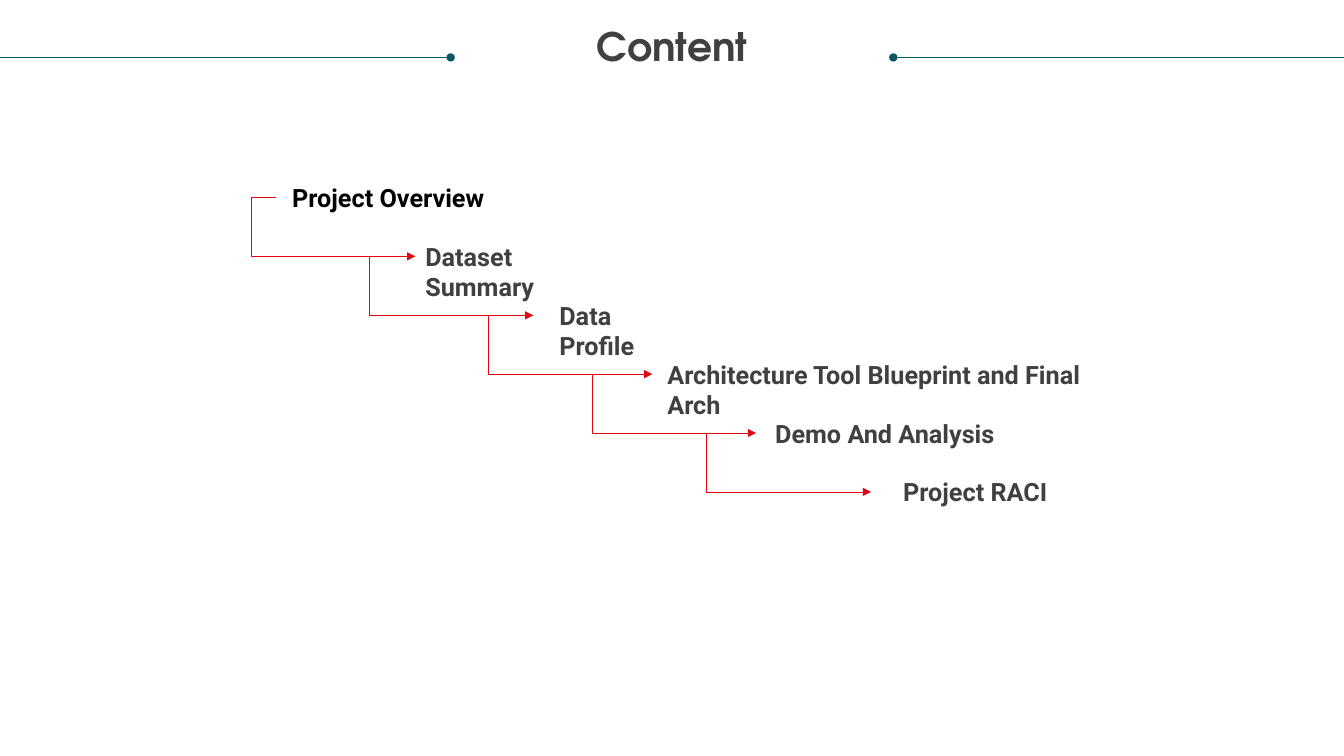
from dataclasses import dataclass
from lxml.etree import SubElement
from pptx import Presentation
from pptx.dml.color import RGBColor
from pptx.enum.shapes import MSO_CONNECTOR
from pptx.enum.text import MSO_ANCHOR, PP_ALIGN
from pptx.oxml.ns import qn
from pptx.util import Inches, Pt


@dataclass(frozen=True)
class Theme:
    ink: str = "404040"
    lead: str = "000000"
    rule: str = "085764"
    arrow: str = "E20613"
    head: str = "TeX Gyre Adventor"
    body: str = "Roboto"
    big: int = 28
    mid: int = 18
    thin: float = 0.5


THEME = Theme()

# Label, left and width of its box, left of the arrow that leads on from it
STEPS = [
    ("Project Overview", 2.8, 2.2, 2.74),
    ("Dataset Summary", 4.12, 2.15, 3.91),
    ("Data Profile", 5.45, 1.47, 5.09),
    ("Architecture Tool Blueprint and Final Arch", 6.52, 4.78, 6.12),
    ("Demo And Analysis", 7.59, 4.56, 7.26),
    ("Project RACI", 8.86, 1.87, None),
]


def add_text(slide, box, text, font, size, color):
    """Place bold text in a box and return its frame and paragraph."""
    frame = slide.shapes.add_textbox(*map(Inches, box)).text_frame
    frame.word_wrap = True
    frame.vertical_anchor = MSO_ANCHOR.TOP
    para = frame.paragraphs[0]
    run = para.add_run()
    run.text = text
    run.font.name = font
    run.font.size = Pt(size)
    run.font.bold = True
    run.font.color.rgb = RGBColor.from_string(color)
    return frame, para


def add_line(slide, kind, ends, color, tip):
    """Draw a thin connector whose far end carries the tip."""
    line = slide.shapes.add_connector(kind, *map(Inches, ends))
    line.line.width = Pt(THEME.thin)
    line.line.color.rgb = RGBColor.from_string(color)
    SubElement(line.line._get_or_add_ln(), qn("a:tailEnd"), type=tip)
    SubElement(line._element.spPr, qn("a:effectLst"))
    return line


def add_title(slide, left, top, width, height):
    """Centred title between two rules that run in from the edges."""
    mid = top + 0.57
    for edge, dot in ((left, 4.47), (left + width, 8.86)):
        add_line(slide, MSO_CONNECTOR.STRAIGHT, (edge, mid, dot, mid),
                 THEME.rule, "oval")
    box = (left + 0.25, top + 0.27, width - 0.5, height - 0.27)
    frame, para = add_text(slide, box, "Content", THEME.head, THEME.big,
                           THEME.ink)
    frame.margin_left = frame.margin_right = 0
    frame.margin_top = frame.margin_bottom = 0
    para.alignment = PP_ALIGN.CENTER
    para.line_spacing = 0.9


def add_stairs(slide, left, top, height):
    """Labels stepping down, each joined to the next by an elbow arrow."""
    tall, reach = 0.4, 1.38
    pitch = (height - tall) / (len(STEPS) - 1)
    for i, (label, x, width, start) in enumerate(STEPS):
        y = top + i * pitch
        color = THEME.ink if i else THEME.lead
        add_text(slide, (left + x, y, width, tall), label, THEME.body,
                 THEME.mid, color)
        if start is None:
            continue
        mid = y + tall / 2
        ends = (left + start, mid, left + start + reach, mid + pitch)
        arrow = add_line(slide, MSO_CONNECTOR.ELBOW, ends, THEME.arrow,
                         "triangle")
        # Bend the elbow back to the left of its start
        geom = arrow._element.spPr.find(qn("a:prstGeom"))
        bends = geom.find(qn("a:avLst"))
        if bends is None:
            bends = SubElement(geom, qn("a:avLst"))
        SubElement(bends, qn("a:gd"), name="adj1", fmla="val -18100")


def main():
    deck = Presentation()
    deck.slide_width, deck.slide_height = Inches(13.33), Inches(7.5)
    slide = deck.slides.add_slide(deck.slide_layouts[6])
    add_title(slide, 0, 0, 13.33, 1.12)
    add_stairs(slide, 0, 1.76, 3.32)
    deck.save("out.pptx")


if __name__ == "__main__":
    main()
